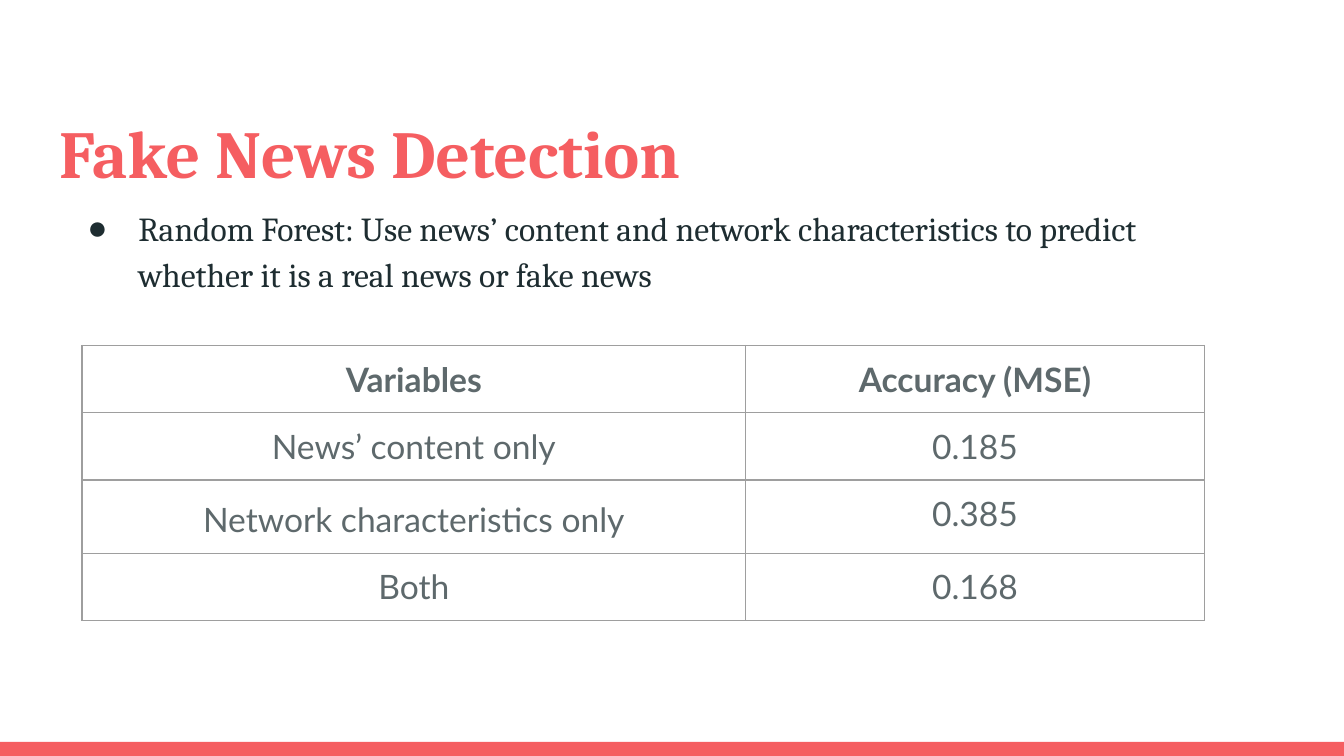
from dataclasses import dataclass

from lxml import etree
from pptx import Presentation
from pptx.dml.color import RGBColor
from pptx.enum.shapes import MSO_SHAPE
from pptx.enum.text import MSO_ANCHOR, MSO_AUTO_SIZE, PP_ALIGN
from pptx.oxml.ns import qn
from pptx.util import Inches, Pt

RECTANGLE = MSO_SHAPE.RECTANGLE
TOP = MSO_ANCHOR.TOP
NO_AUTOFIT = MSO_AUTO_SIZE.NONE
LEFT, CENTER = PP_ALIGN.LEFT, PP_ALIGN.CENTER


@dataclass(frozen=True)
class Theme:
    accent: str = "F55E61"
    ink: str = "1E2D31"
    muted: str = "5E696C"
    border: str = "9E9E9E"
    serif: str = "Cambria"
    sans: str = "Lato"
    title_size: int = 36
    text_size: int = 18
    border_width: float = 0.75
    inset: float = 0.1


@dataclass(frozen=True)
class Box:
    left: float
    top: float
    width: float
    height: float


@dataclass(frozen=True)
class Result:
    variables: str
    accuracy: str
    bold: bool = False
    label_spacing: float = 1.0


THEME = Theme()
SLIDE_WIDTH = 10
SLIDE_HEIGHT = SLIDE_WIDTH * 9 / 16
FOOTER_TOP, FOOTER_HEIGHT = 5.52, 0.11
TITLE_BOX = Box(0.34, 0.43, 9.32, 0.68)
BODY_BOX = Box(0.43, 1.4, 8.98, 0.92)
TABLE_LEFT, TABLE_TOP = 0.61, 2.57
COLUMN_WIDTHS = (4.94, 3.41)
ROW_HEIGHT = 0.42
RESULTS = (
    Result("Variables", "Accuracy (MSE)", bold=True),
    Result("News’ content only", "0.185"),
    Result("Network characteristics only", "0.385", label_spacing=1.15),
    Result("Both", "0.168"),
)


def write_text(frame, text: str, *, font: str, size: int, color: str,
               bold: bool = False, align=LEFT, spacing: float = 1.0):
    """Fill the first paragraph of a text frame and return it."""
    paragraph = frame.paragraphs[0]
    paragraph.alignment = align
    paragraph.line_spacing = spacing
    paragraph.space_before = paragraph.space_after = Pt(0)
    run = paragraph.add_run()
    run.text = text
    run.font.name = font
    run.font.size = Pt(size)
    run.font.bold = bold
    run.font.color.rgb = RGBColor.from_string(color)
    return paragraph


def set_margins(target) -> None:
    target.margin_left = target.margin_right = Inches(THEME.inset)
    target.margin_top = target.margin_bottom = Inches(THEME.inset)


def place(placeholder, box: Box):
    """Move a placeholder and return its prepared text frame."""
    placeholder.left, placeholder.top = Inches(box.left), Inches(box.top)
    placeholder.width, placeholder.height = Inches(box.width), Inches(box.height)
    frame = placeholder.text_frame
    frame.word_wrap = True
    frame.auto_size = NO_AUTOFIT
    frame.vertical_anchor = TOP
    set_margins(frame)
    return frame


def add_color(parent, tag: str, color: str) -> None:
    holder = etree.SubElement(parent, qn(tag))
    etree.SubElement(holder, qn("a:srgbClr"), val=color)


def add_bullet(paragraph, color: str, indent: float, hanging: float) -> None:
    properties = paragraph._p.get_or_add_pPr()
    properties.set("marL", str(Inches(indent)))
    properties.set("indent", str(-Inches(hanging)))
    add_color(properties, "a:buClr", color)
    etree.SubElement(properties, qn("a:buChar"), char="●")


def outline_cell(cell) -> None:
    properties = cell._tc.get_or_add_tcPr()
    for side in ("a:lnL", "a:lnR", "a:lnT", "a:lnB"):
        line = etree.SubElement(properties, qn(side), w=str(Pt(THEME.border_width)))
        add_color(line, "a:solidFill", THEME.border)


def fill_cell(cell, text: str, bold: bool, spacing: float = 1.0) -> None:
    set_margins(cell)
    cell.vertical_anchor = TOP
    outline_cell(cell)
    cell.fill.background()
    write_text(cell.text_frame, text, font=THEME.sans, size=THEME.text_size,
               color=THEME.muted, bold=bold, align=CENTER, spacing=spacing)


def add_results_table(slide) -> None:
    table = slide.shapes.add_table(
        len(RESULTS), len(COLUMN_WIDTHS), Inches(TABLE_LEFT), Inches(TABLE_TOP),
        Inches(sum(COLUMN_WIDTHS)), Inches(ROW_HEIGHT * len(RESULTS))).table
    table.first_row = table.horz_banding = False
    for column, width in zip(table.columns, COLUMN_WIDTHS):
        column.width = Inches(width)
    for index, result in enumerate(RESULTS):
        table.rows[index].height = Inches(ROW_HEIGHT)
        fill_cell(table.cell(index, 0), result.variables, result.bold,
                  result.label_spacing)
        fill_cell(table.cell(index, 1), result.accuracy, result.bold)


def add_footer_bar(slide) -> None:
    bar = slide.shapes.add_shape(
        RECTANGLE, 0, Inches(FOOTER_TOP),
        Inches(SLIDE_WIDTH), Inches(FOOTER_HEIGHT))
    bar.shadow.inherit = False
    bar.fill.solid()
    bar.fill.fore_color.rgb = RGBColor.from_string(THEME.accent)
    bar.line.fill.background()


def main() -> None:
    presentation = Presentation()
    presentation.slide_width = Inches(SLIDE_WIDTH)
    presentation.slide_height = Inches(SLIDE_HEIGHT)
    slide = presentation.slides.add_slide(presentation.slide_layouts[1])

    # Footer bar
    add_footer_bar(slide)

    # Title
    write_text(place(slide.shapes.title, TITLE_BOX), "Fake News Detection",
               font=THEME.serif, size=THEME.title_size, color=THEME.accent,
               bold=True, spacing=1.5)

    # Method
    method = write_text(
        place(slide.placeholders[1], BODY_BOX),
        "Random Forest: Use news’ content and network characteristics to predict "
        "whether it is a real news or fake news",
        font=THEME.serif, size=THEME.text_size, color=THEME.ink, spacing=1.15)
    add_bullet(method, THEME.ink, indent=0.5, hanging=0.38)

    # Accuracy by variable set
    add_results_table(slide)

    presentation.save("out.pptx")


if __name__ == "__main__":
    main()
